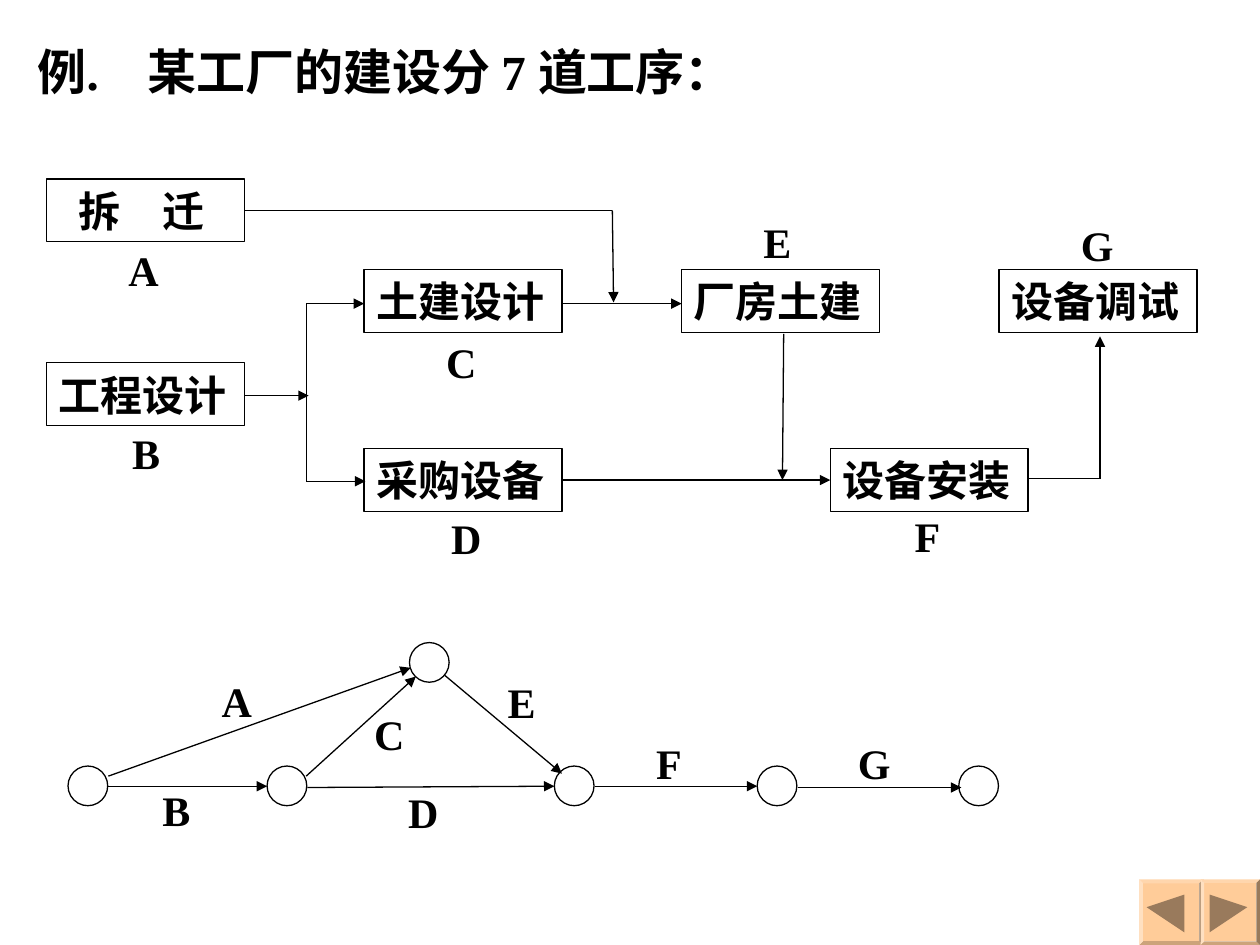
import lxml.etree
import pptx
import pptx.dml.color
import pptx.enum.shapes
import pptx.enum.text
import pptx.oxml.ns
import pptx.util

SHAPE = pptx.enum.shapes.MSO_SHAPE
ALIGN = pptx.enum.text.PP_ALIGN
ANCHOR = pptx.enum.text.MSO_ANCHOR

CELL = pptx.util.Inches(0.1)  # the slide is a grid of 100 columns by 75 rows
BLACK, PEACH, BROWN = "000000", "FFCC99", "997A5C"
BOX_WIDTH, BOX_HEIGHT = 15.7, 5
COLUMN_LEFT = [3.7 + 25.2 * index for index in range(4)]
INSTALL_LEFT = 65.9
FONT = {"name": "Times New Roman", "bold": True}

# text, left, top, left inset, letter, centre of the letter
STEPS = [
    ("拆　迁", COLUMN_LEFT[0], 14.2, 2.5, "A", (11.4, 21.4)),
    ("工程设计", COLUMN_LEFT[0], 28.8, 1, "B", (11.6, 35.9)),
    ("土建设计", COLUMN_LEFT[1], 21.4, 1, "C", (36.6, 28.7)),
    ("采购设备", COLUMN_LEFT[1], 35.6, 1, "D", (37, 42.7)),
    ("厂房土建", COLUMN_LEFT[2], 21.4, 1, "E", (61.7, 19.2)),
    ("设备安装", INSTALL_LEFT, 35.6, 1, "F", (73.6, 42.5)),
    ("设备调试", COLUMN_LEFT[3], 21.4, 1, "G", (87, 19.4)),
]
FLOW_ROUTES = [
    [(19.4, 16.7), (48.6, 16.7), (48.7, 24)],
    [(44.7, 24.1), (54.1, 24.1)],
    [(19.4, 31.4), (24.5, 31.4)],
    [(24.3, 31.4), (24.3, 24.1), (28.9, 24.1)],
    [(24.3, 31.4), (24.3, 38.2), (29, 38.2)],
    [(44.7, 38.1), (65.9, 38.1)],
    [(62.2, 26.5), (62.1, 38.1)],
    [(81.7, 38), (87.3, 38), (87.3, 26.7)],
]
NODE_SIZE = 3.15
NODES = [(5.4, 60.8), (21.2, 60.8), (44, 60.8), (60.1, 60.8), (76.1, 60.8),
         (32.5, 51)]
# letter, centre of the letter, start, end
ACTIVITIES = [
    ("A", (18.8, 55.6), (8.6, 61.6), (32.6, 53)),
    ("B", (14, 64.3), (8.6, 62.4), (21.2, 62.4)),
    ("C", (30.9, 58.2), (24.3, 61.6), (33, 53.7)),
    ("D", (33.6, 64.4), (24.4, 62.5), (44, 62.4)),
    ("E", (41.4, 55.7), (35.3, 53.6), (44.6, 61.4)),
    ("F", (53.1, 60.5), (47.2, 62.4), (60.1, 62.4)),
    ("G", (69.3, 60.5), (63.3, 62.5), (76.3, 62.5)),
]
# left, width and arrow outline of each button
BUTTONS = [
    (90.4, 5.1, [(91.3, 72.4), (94.5, 70.8), (94.5, 74)]),
    (95.3, 4.7, [(96.1, 70.9), (99.2, 72.4), (96.1, 73.9)]),
]


def color(hex_text):
    return pptx.dml.color.RGBColor.from_string(hex_text)


def cells(*values):
    return [round(value * CELL) for value in values]


def apply(target, values):
    for name, value in values.items():
        setattr(target, name, value)


def write(shape, text, size, inset=1, wrap=True, align=ALIGN.LEFT):
    frame = shape.text_frame
    apply(frame, {"word_wrap": wrap, "vertical_anchor": ANCHOR.MIDDLE,
                  "margin_left": cells(inset)[0]})
    paragraph = frame.paragraphs[0]
    paragraph.alignment = align
    run = paragraph.add_run()
    run.text = text
    apply(run.font, {**FONT, "size": pptx.util.Pt(size)})
    run.font.color.rgb = color(BLACK)


def add_label(slide, letter, centre):
    width, height = 4.4, 5
    box = slide.shapes.add_textbox(
        *cells(centre[0] - width / 2, centre[1] - height / 2, width, height))
    write(box, letter, 24, wrap=False, align=ALIGN.CENTER)


def add_outline(slide, kind, left, top, width, height):
    shape = slide.shapes.add_shape(kind, *cells(left, top, width, height))
    shape.shadow.inherit = False
    shape.fill.background()
    shape.line.color.rgb = color(BLACK)
    shape.line.width = pptx.util.Pt(0.75)
    return shape


def add_route(slide, points):
    """Join the points with straight lines; the last one ends in an arrowhead."""
    for start, end in zip(points, points[1:]):
        line = slide.shapes.add_connector(
            pptx.enum.shapes.MSO_CONNECTOR.STRAIGHT, *cells(*start, *end))
        line.line.color.rgb = color(BLACK)
        line.line.width = pptx.util.Pt(0.75)
        properties = line.element.spPr
        lxml.etree.SubElement(properties, pptx.oxml.ns.qn("a:effectLst"))
    lxml.etree.SubElement(line.line._get_or_add_ln(),
                          pptx.oxml.ns.qn("a:tailEnd"), type="triangle")


def paint(shape, fill):
    shape.shadow.inherit = False
    shape.fill.solid()
    shape.fill.fore_color.rgb = color(fill)
    shape.line.fill.background()


def add_button(slide, left, width, arrow_points):
    button = slide.shapes.add_shape(SHAPE.BEVEL, *cells(left, 69.8, width, 5.2))
    button.adjustments[0] = 0.06
    paint(button, PEACH)
    builder = slide.shapes.build_freeform(*arrow_points[0], scale=CELL)
    builder.add_line_segments(arrow_points[1:], close=True)
    paint(builder.convert_to_shape(), BROWN)


def add_process_flow(slide):
    for text, left, top, inset, letter, centre in STEPS:
        box = add_outline(slide, SHAPE.RECTANGLE, left, top,
                          BOX_WIDTH, BOX_HEIGHT)
        write(box, text, 24, inset)
        add_label(slide, letter, centre)
    for points in FLOW_ROUTES:
        add_route(slide, points)


def add_activity_network(slide):
    for left, top in NODES:
        add_outline(slide, SHAPE.OVAL, left, top, NODE_SIZE, NODE_SIZE)
    for letter, centre, start, end in ACTIVITIES:
        add_route(slide, [start, end])
        add_label(slide, letter, centre)


def main():
    presentation = pptx.Presentation()
    apply(presentation, {"slide_width": 100 * CELL, "slide_height": 75 * CELL})
    slide = presentation.slides.add_slide(presentation.slide_layouts[6])
    title = slide.shapes.add_textbox(*cells(2, 2.8, 59.8, 5.7))
    write(title, "例.　某工厂的建设分 7 道工序：", 28)
    add_process_flow(slide)
    add_activity_network(slide)
    for button in BUTTONS:
        add_button(slide, *button)
    presentation.save("out.pptx")


if __name__ == "__main__":
    main()
